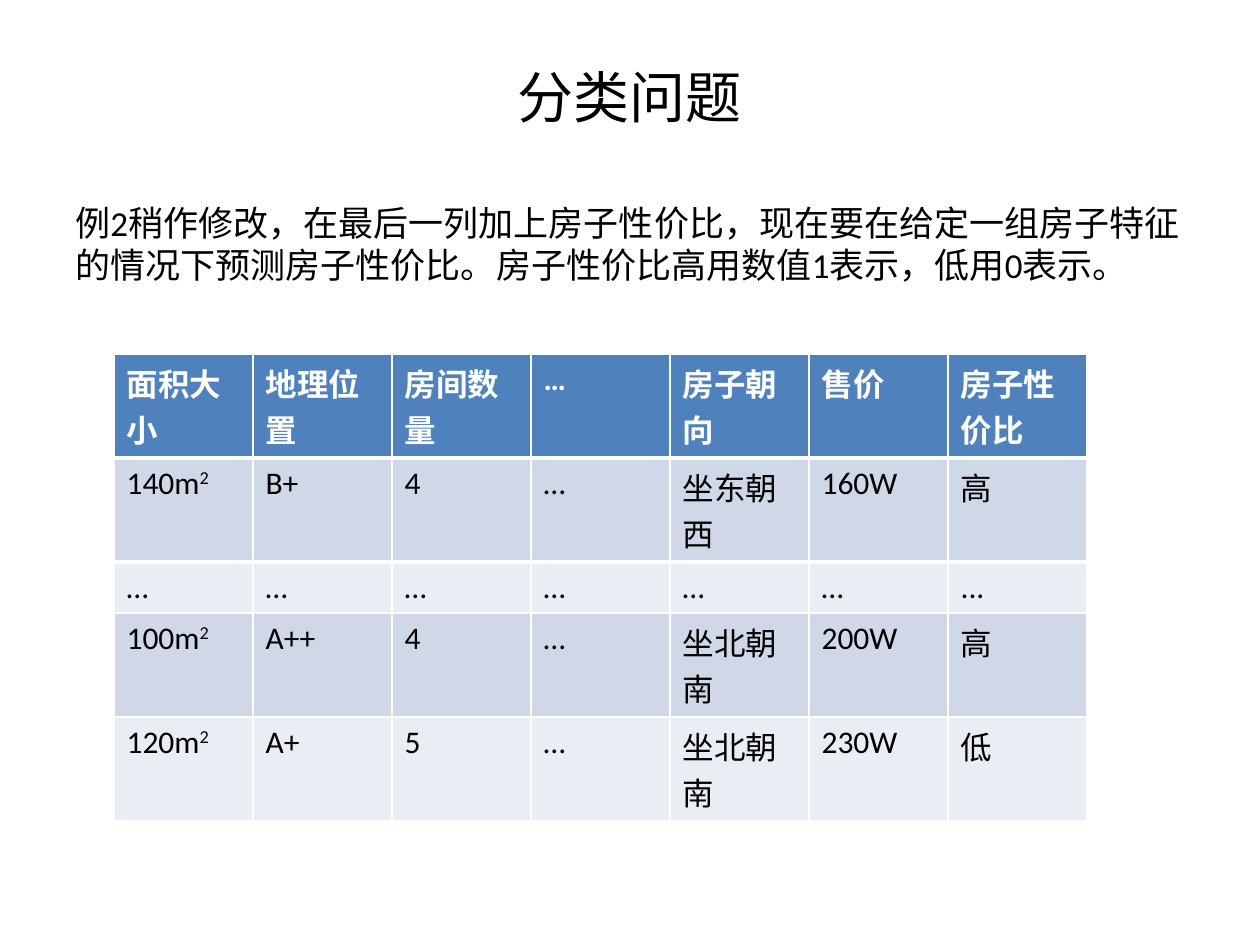
from dataclasses import dataclass

from lxml.etree import SubElement as Sub
from pptx import Presentation
from pptx.dml.color import RGBColor as Rgb
from pptx.enum.text import MSO_ANCHOR as Anchor, PP_ALIGN as Align
from pptx.oxml.ns import qn
from pptx.util import Pt


@dataclass(frozen=True)
class Theme:
    """Colours, font, type sizes and rule width of the slide."""
    font: str = "Calibri"
    ink: str = "000000"
    light: str = "FFFFFF"
    head: str = "4F81BD"
    bands: tuple = ("D0D8E8", "E9EDF4")
    title: int = 32
    body: int = 20
    cell: int = 18
    rule: int = 3


THEME = Theme()
DOTS = "…"
TITLE = "分类问题"
INTRO = ("例2稍作修改，在最后一列加上房子性价比，现在要在给定一组房子特征的情况下"
         "预测房子性价比。房子性价比高用数值1表示，低用0表示。")
HEADS = ["面积大小", "地理位置", "房间数量", DOTS, "房子朝向", "售价", "房子性价比"]
HOMES = [
    ["140m^2", "B+", "4", DOTS, "坐东朝西", "160W", "高"],
    [DOTS] * 6 + ["..."],
    ["100m^2", "A++", "4", DOTS, "坐北朝南", "200W", "高"],
    ["120m^2", "A+", "5", DOTS, "坐北朝南", "230W", "低"],
]


def px(count):
    """Turn pixels into EMU."""
    return round(count * 914400 / 126)


def style(para, size, color, bold=False):
    """Set the font of a paragraph."""
    font = para.font
    font.name, font.size, font.bold = THEME.font, Pt(size), bold
    font.color.rgb = Rgb.from_string(color)


def add_text(slide, box, text, size):
    """Add a wrapped text box and return its frame."""
    frame = slide.shapes.add_textbox(*map(px, box)).text_frame
    frame.word_wrap = True
    para = frame.paragraphs[0]
    para.text = text
    style(para, size, THEME.ink)
    return frame


def rule_cell(cell, side):
    """Draw the thick light rule on one side of a cell."""
    props = cell._tc.get_or_add_tcPr()
    line = Sub(props, qn(f"a:{side}"), w=str(Pt(THEME.rule)))
    Sub(Sub(line, qn("a:solidFill")), qn("a:srgbClr"), val=THEME.light)
    props.insert(0, line)


def fill_cell(cell, text, fill, color, bold):
    """Write one cell, raising what follows a caret."""
    cell.fill.solid()
    cell.fill.fore_color.rgb = Rgb.from_string(fill)
    para = cell.text_frame.paragraphs[0]
    base, _, power = text.partition("^")
    para.add_run().text = base
    if power:
        run = para.add_run()
        run.text = power
        run.font._element.set("baseline", "30000")
    style(para, THEME.cell, color, bold)


def add_grid(slide, left, top, wide, low, tall):
    """Add the table of homes, with low rows where only dots stand."""
    rows = [HEADS] + HOMES
    highs = [low if row[0] == DOTS else tall for row in rows]
    box = left, top, wide * len(HEADS), sum(highs)
    grid = slide.shapes.add_table(len(rows), len(HEADS), *map(px, box)).table
    for r, row in enumerate(rows):
        head = r == 0
        grid.rows[r].height = px(highs[r])
        fill = THEME.head if head else THEME.bands[(r - 1) % 2]
        color = THEME.light if head else THEME.ink
        for c, text in enumerate(row):
            cell = grid.cell(r, c)
            fill_cell(cell, text, fill, color, head)
            if r < 2:
                rule_cell(cell, "lnB" if head else "lnT")


def main():
    """Build and save the slide."""
    deck = Presentation()
    deck.slide_width, deck.slide_height = px(1260), px(945)
    slide = deck.slides.add_slide(deck.slide_layouts[6])
    title = add_text(slide, (63, 38, 1134, 117), TITLE, THEME.title)
    title.vertical_anchor = Anchor.MIDDLE
    title.paragraphs[0].alignment = Align.CENTER
    add_text(slide, (63, 195, 1134, 564), INTRO, THEME.body)
    add_grid(slide, 114, 354, 139, 51, 104)
    deck.save("out.pptx")


if __name__ == "__main__":
    main()
